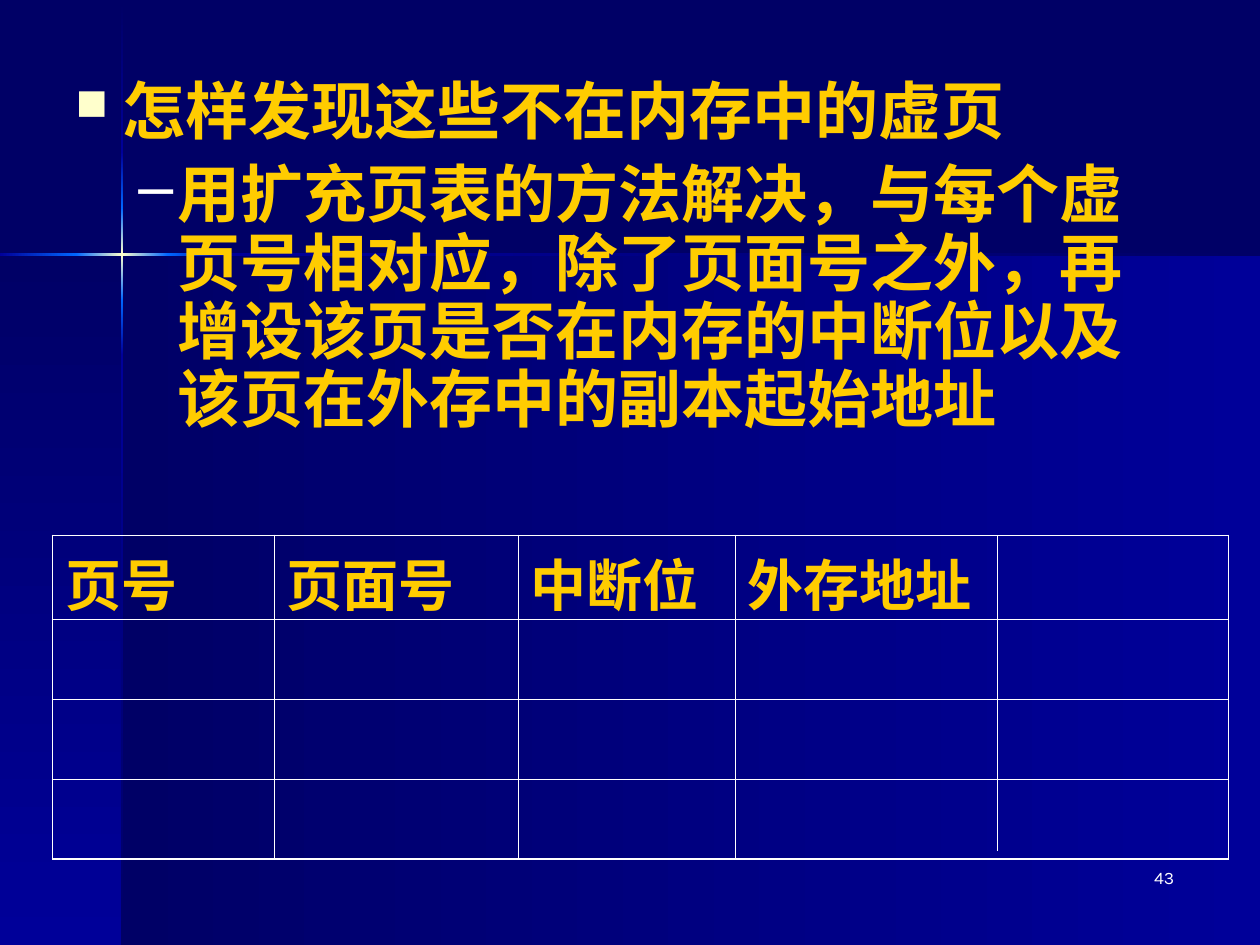
from copy import deepcopy
from dataclasses import dataclass

from lxml import etree
from pptx import Presentation
from pptx import util as u
from pptx.dml.color import RGBColor
from pptx.enum import shapes, text
from pptx.oxml import ns

NAVY = RGBColor(0x00, 0x00, 0x66)
BLUE = RGBColor(0x00, 0x00, 0x99)
AZURE = RGBColor(0x00, 0x66, 0xFF)
CREAM = RGBColor(0xFF, 0xFF, 0xCC)
GOLD = RGBColor(0xFF, 0xCC, 0x00)
WHITE = RGBColor(0xFF, 0xFF, 0xFF)

DOWN, ACROSS = 270, 0
RULE_X, RULE_Y, RULE = 69.2, 144.8, 1.4


def add_element(parent, tag, **attributes):
    return etree.SubElement(parent, ns.qn(tag), attributes)


@dataclass
class Painter:
    """Draws the elements of one slide in a shared style, in points."""

    slide: object
    serif: str = "Times New Roman"
    sans: str = "Karla"
    outer: float = 1.08
    inner: float = 0.45

    def style(self, paragraph, face, size, color, bold=False):
        font = paragraph.font
        font.name, font.size, font.bold = face, u.Pt(size), bold
        font.color.rgb = color

    def band(self, left, top, width, height, colors, direction):
        panel = self.slide.shapes.add_shape(
            shapes.MSO_SHAPE.RECTANGLE, u.Pt(left), u.Pt(top), u.Pt(width), u.Pt(height))
        panel.shadow.inherit = False
        panel.line.fill.background()
        panel.fill.gradient()
        panel.fill.gradient_angle = direction
        stops = next(panel._element.spPr.iter(ns.qn("a:gsLst")))
        for _ in colors[2:]:
            stops.append(deepcopy(stops[0]))
        for index, (stop, color) in enumerate(zip(panel.fill.gradient_stops, colors)):
            stop.color.rgb = color
            stop.position = index / (len(colors) - 1)

    def text_box(self, left, top, width, height):
        frame = self.slide.shapes.add_textbox(
            u.Pt(left), u.Pt(top), u.Pt(width), u.Pt(height)).text_frame
        frame.word_wrap = True
        return frame

    def outline(self, left, top, width, height, points):
        frame = self.text_box(left, top, width, height)
        for level, (words, mark, color, percent, margin, hanging) in enumerate(points):
            point = frame.add_paragraph() if level else frame.paragraphs[0]
            point.text, point.level = words, level
            props = point._p.get_or_add_pPr()
            props.set("marL", str(u.Pt(margin)))
            props.set("indent", str(-u.Pt(hanging)))
            add_element(add_element(props, "a:buClr"), "a:srgbClr", val=str(color))
            add_element(props, "a:buSzPct", val=str(percent * 1000))
            add_element(props, "a:buChar", char=mark)
            point.line_spacing = 0.9
            if level:
                point.space_before = u.Pt(9)
            self.style(point, self.serif, 36, GOLD, True)

    def page_number(self, left, top, width, height, number):
        paragraph = self.text_box(left, top, width, height).paragraphs[0]
        paragraph.text = number
        paragraph.alignment = text.PP_ALIGN.RIGHT
        self.style(paragraph, self.sans, 10, WHITE)

    def border(self, cell, side, weight):
        edge = add_element(cell._tc.get_or_add_tcPr(), f"a:{side}", w=str(u.Pt(weight)))
        add_element(add_element(edge, "a:solidFill"), "a:srgbClr", val=str(WHITE))

    def table(self, left, top, widths, heights, headings):
        grid = self.slide.shapes.add_table(
            len(heights), len(widths), u.Pt(left), u.Pt(top),
            u.Pt(sum(widths)), u.Pt(sum(heights))).table
        grid.first_row = grid.horz_banding = False
        for column, width in zip(grid.columns, widths):
            column.width = u.Pt(width)
        for r, height in enumerate(heights):
            grid.rows[r].height = u.Pt(height)
            for c, heading in enumerate(headings):
                cell = grid.cell(r, c)
                at_edge = {"lnL": c == 0, "lnR": c == len(widths) - 1,
                           "lnT": r == 0, "lnB": r == len(heights) - 1}
                for side, outside in at_edge.items():
                    self.border(cell, side, self.outer if outside else self.inner)
                cell.fill.background()
                if r == 0:
                    cell.text = heading
                    self.style(cell.text_frame.paragraphs[0], self.sans, 32, GOLD, True)

    def line(self, x1, y1, x2, y2):
        divider = self.slide.shapes.add_connector(
            shapes.MSO_CONNECTOR.STRAIGHT, u.Pt(x1), u.Pt(y1), u.Pt(x2), u.Pt(y2))
        divider.line.color.rgb = WHITE
        divider.line.width = u.Pt(0.75)
        add_element(divider._element.spPr, "a:effectLst")


def main():
    deck = Presentation()
    deck.slide_width, deck.slide_height = u.Pt(720), u.Pt(540)
    slide = deck.slides.add_slide(deck.slide_layouts[6])
    slide.background.fill.solid()
    slide.background.fill.fore_color.rgb = NAVY
    painter = Painter(slide)

    painter.band(70, 145.5, 650, 394.5, (NAVY, BLUE), ACROSS)
    painter.band(0, 145.5, 70, 394.5, (NAVY, BLUE), DOWN)

    glow = (AZURE, CREAM, AZURE)
    for start, end, colors in (
            (0.5, 87, (NAVY, BLUE)), (203, 540, (BLUE, NAVY)),
            (171.5, 203, (AZURE, BLUE)), (87, 119, (BLUE, AZURE)), (119, 171.5, glow)):
        painter.band(RULE_X, start, RULE, end - start, colors, DOWN)
    for start, end, colors in (
            (127.5, 720, (BLUE, NAVY)), (0, 43.5, (BLUE, AZURE)),
            (96, 127.5, (AZURE, BLUE)), (43.5, 96, glow)):
        painter.band(start, RULE_Y, end - start, RULE, colors, ACROSS)

    painter.page_number(528, 492, 150, 36, "43")
    painter.outline(36, 42, 630, 264, (
        ("怎样发现这些不在内存中的虚页", "■", CREAM, 70, 27, 27),
        ("用扩充页表的方法解决，与每个虚页号相对应，除了页面号之外，"
         "再增设该页是否在内存的中断位以及该页在外存中的副本起始地址",
         "–", WHITE, 100, 58.5, 22.5)))
    painter.table(30, 306, (126.75, 139.5, 124, 281.75), (47.9, 45.7, 45.7, 45.7),
                  ("页号", "页面号", "中断位", "外存地址"))
    painter.line(570, 306, 570, 486)

    deck.save("out.pptx")


if __name__ == "__main__":
    main()
